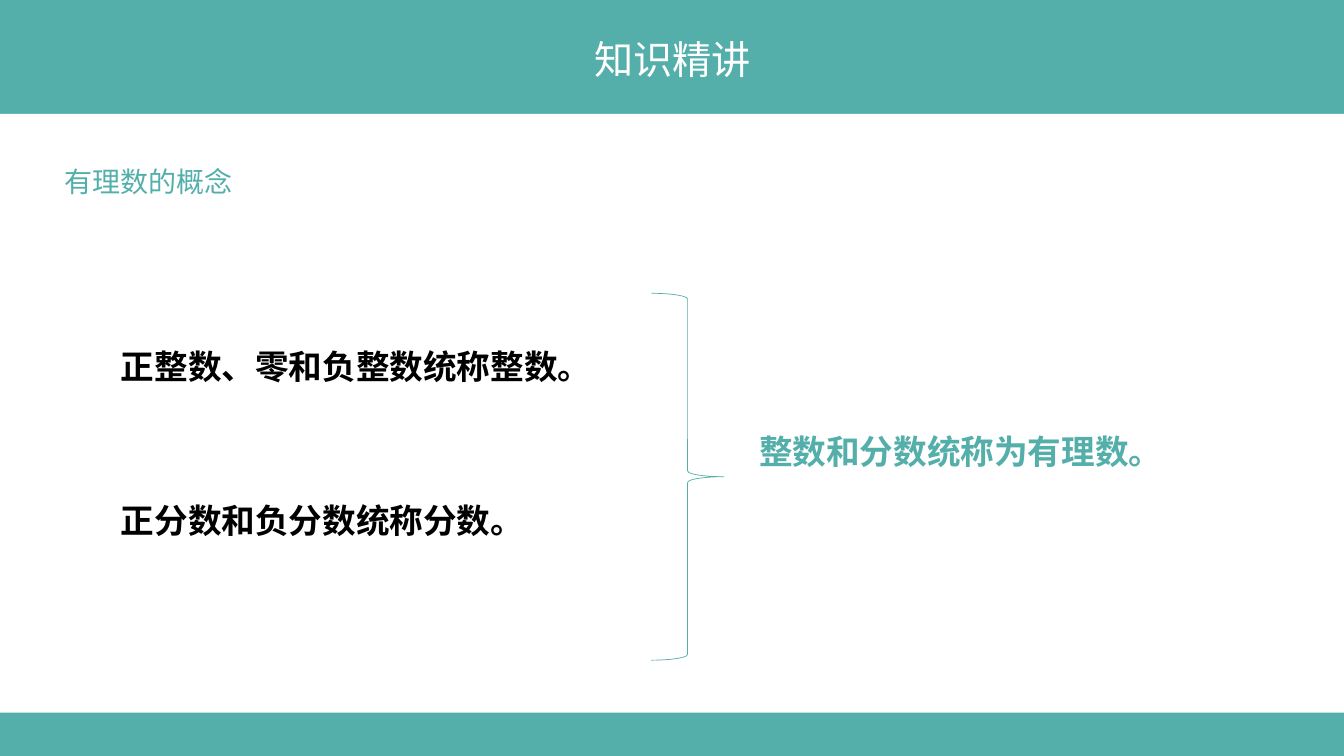
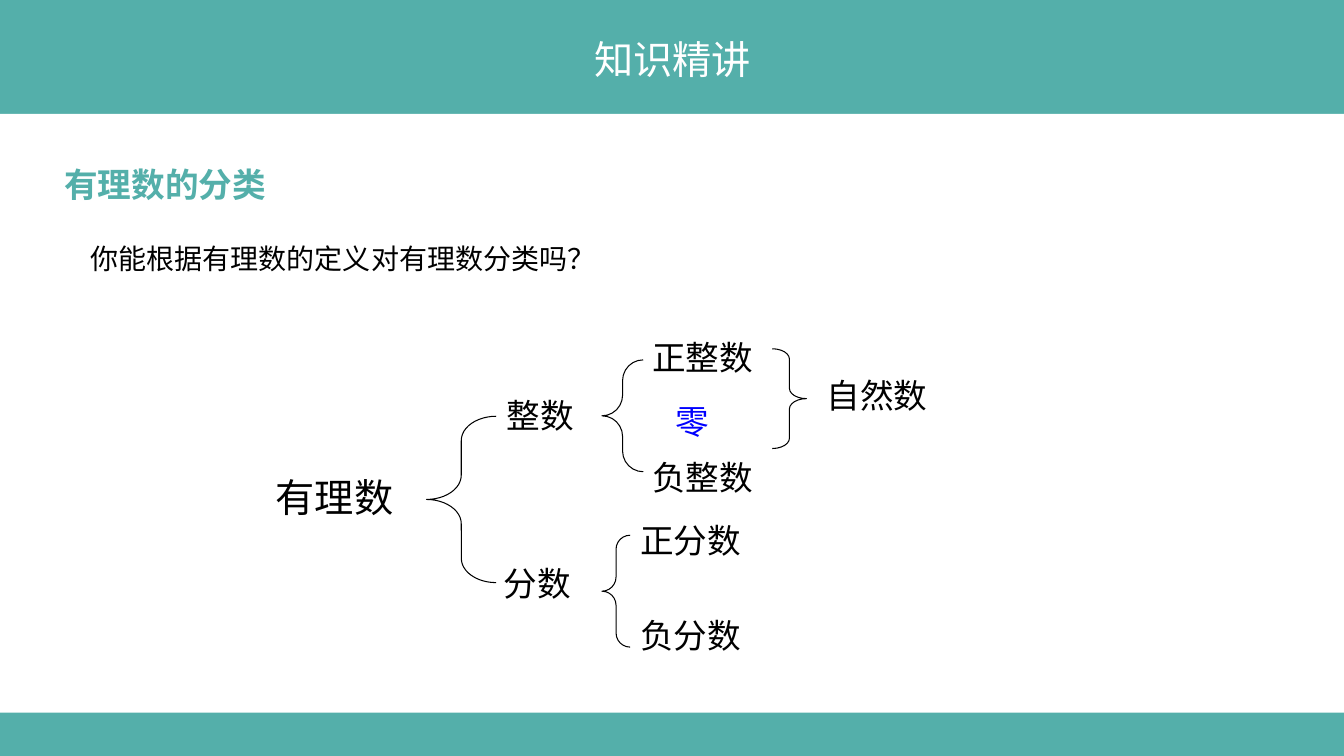
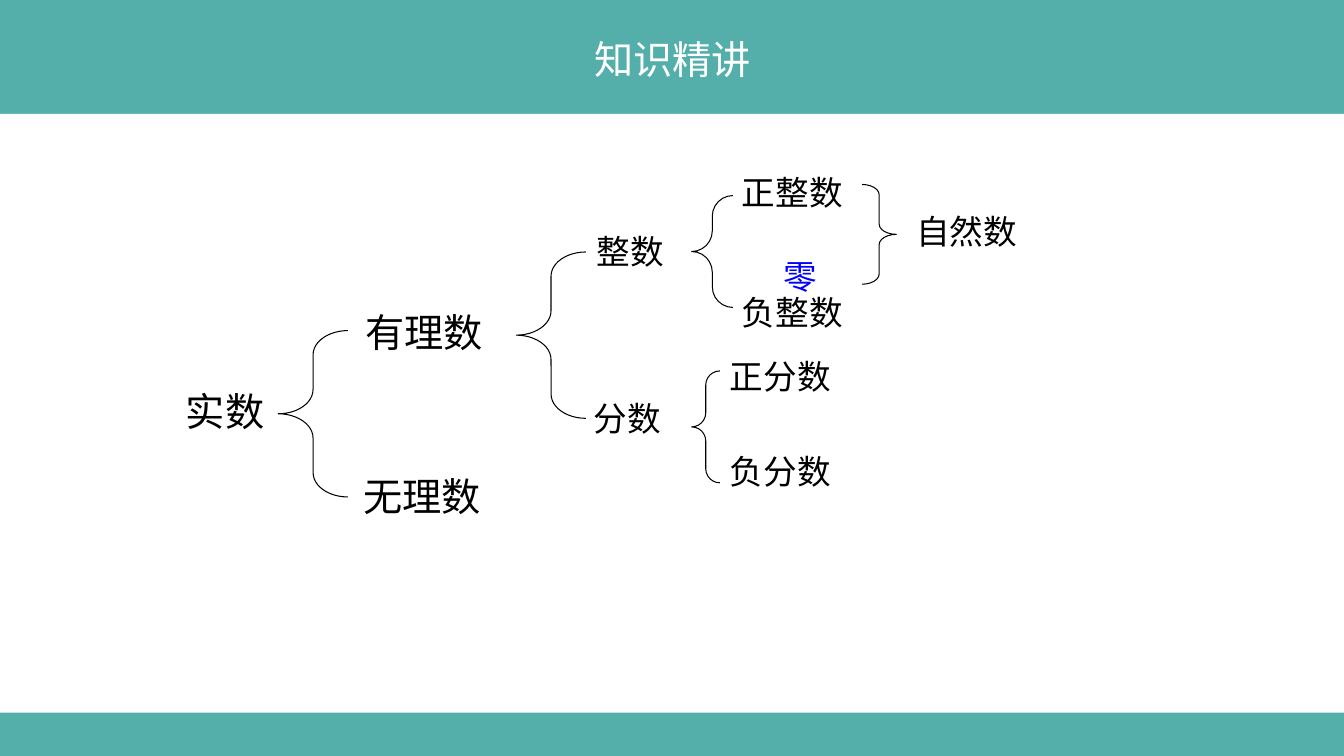
"""Build three lesson slides on the definition and classification of rational numbers."""
from pptx import Presentation
from pptx import util as u
from pptx.dml.color import RGBColor
from pptx.enum import shapes, text

COLORS = {"teal": "54AFAA", "white": "FFFFFF", "black": "000000", "blue": "0000FF"}
FONT = "Arial"
HEIGHTS = {20: 0.44, 24: 0.5, 28: 0.57}
LEFT = shapes.MSO_SHAPE.LEFT_BRACE
RIGHT = shapes.MSO_SHAPE.RIGHT_BRACE


def add_label(slide, words, left, top, width, size=24, color="black", bold=False,
              align=text.PP_ALIGN.LEFT):
    label = slide.shapes.add_textbox(
        u.Inches(left), u.Inches(top), u.Inches(width), u.Inches(HEIGHTS[size]))
    frame = label.text_frame
    frame.word_wrap = True
    frame.auto_size = text.MSO_AUTO_SIZE.SHAPE_TO_FIT_TEXT
    frame.vertical_anchor = text.MSO_ANCHOR.MIDDLE
    frame.text = words
    frame.paragraphs[0].alignment = align
    font = frame.paragraphs[0].runs[0].font
    font.name, font.size, font.bold = FONT, u.Pt(size), bold
    font.color.rgb = RGBColor.from_string(COLORS[color])


def add_brace(slide, kind, left, top, width, height, curl, color="black", weight=0.75):
    brace = slide.shapes.add_shape(
        kind, u.Inches(left), u.Inches(top), u.Inches(width), u.Inches(height))
    brace.shadow.inherit = False
    brace.fill.background()
    brace.line.color.rgb = RGBColor.from_string(COLORS[color])
    brace.line.width = u.Pt(weight)
    brace.adjustments[0] = curl


prs = Presentation()
prs.slide_width, prs.slide_height = u.Inches(13.33), u.Inches(7.5)
backdrop = prs.slide_master.background.fill
backdrop.solid()
backdrop.fore_color.rgb = RGBColor.from_string(COLORS["teal"])

lesson = [prs.slides.add_slide(prs.slide_layouts[6]) for _ in range(3)]
for slide in lesson:
    panel = slide.shapes.add_shape(
        shapes.MSO_SHAPE.RECTANGLE, 0, u.Inches(1.13), prs.slide_width, u.Inches(5.94))
    panel.shadow.inherit = False
    panel.fill.solid()
    panel.fill.fore_color.rgb = RGBColor.from_string(COLORS["white"])
    panel.line.fill.background()
    add_label(slide, "知识精讲", 5.59, 0.3, 2.16, 28, "white", align=text.PP_ALIGN.CENTER)

concept, classification, real_numbers = lesson

add_label(concept, "有理数的概念", 0.54, 1.58, 6.67, 20, "teal")
add_label(concept, "正整数、零和负整数统称整数。", 1.1, 3.38, 5.14, bold=True)
add_label(concept, "正分数和负分数统称分数。", 1.1, 4.91, 4.35, bold=True)
add_brace(concept, RIGHT, 6.46, 2.91, 0.72, 3.64, 0.08, "teal", 0.5)
add_label(concept, "整数和分数统称为有理数。", 7.43, 4.23, 5.21, color="teal", bold=True)

add_label(classification, "有理数的分类", 0.54, 1.58, 7.47, color="teal", bold=True)
add_label(classification, "你能根据有理数的定义对有理数分类吗？", 0.8, 2.34, 6.67, 20)

branches = [
    (" 有理数", 2.55, 4.64, 1.97, 28),
    ("整数", 4.93, 3.87, 1.93, 24),
    ("分数", 4.9, 5.53, 1.11, 24),
    ("正整数", 6.37, 3.29, 2.7, 24),
    ("负整数", 6.37, 4.48, 3.3, 24),
    ("正分数", 6.25, 5.11, 2.94, 24),
    ("负分数", 6.25, 6.05, 3.15, 24),
    ("自然数", 8.1, 3.67, 2.45, 24),
]
braces = [
    (LEFT, 4.23, 4.13, 0.69, 1.65, 0.35),
    (LEFT, 5.97, 3.57, 0.41, 1.11, 0.5),
    (LEFT, 5.97, 5.31, 0.28, 1.11, 0.5),
    (RIGHT, 7.66, 3.46, 0.34, 0.99, 0.3),
]
trees = [(classification, 0, 0, 6.6, 3.93), (real_numbers, 0.89, -1.63, 7.67, 2.49)]
for slide, shift_x, shift_y, zero_left, zero_top in trees:
    for words, left, top, width, size in branches:
        add_label(slide, words, left + shift_x, top + shift_y, width, size)
    for kind, left, top, width, height, curl in braces:
        add_brace(slide, kind, left + shift_x, top + shift_y, width, height, curl)
    add_label(slide, "零", zero_left, zero_top, 1.14, color="blue")

add_label(real_numbers, " 实数", 1.66, 3.79, 1.97, 28)
add_label(real_numbers, " 无理数", 3.42, 4.63, 1.97, 28)
add_brace(real_numbers, LEFT, 2.76, 3.28, 0.69, 1.65, 0.35)

prs.save("out.pptx")
